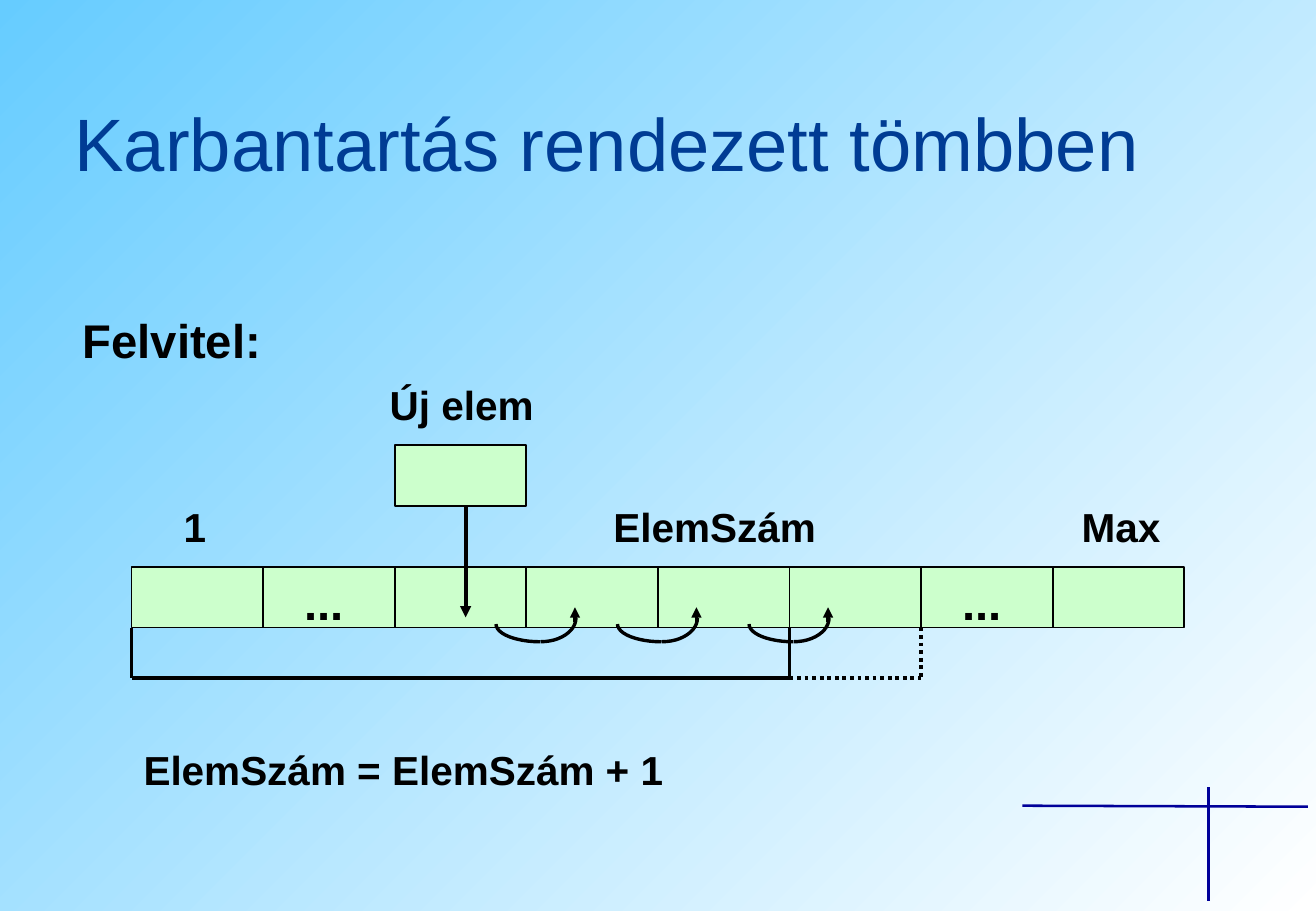
from lxml import etree
from pptx import Presentation
from pptx.dml.color import RGBColor
from pptx.enum.dml import MSO_LINE
from pptx.enum.shapes import MSO_CONNECTOR, MSO_SHAPE
from pptx.enum.text import PP_ALIGN
from pptx.oxml.ns import qn
from pptx.util import Inches, Pt

STRAIGHT = MSO_CONNECTOR.STRAIGHT
RECT, ARC = MSO_SHAPE.RECTANGLE, MSO_SHAPE.ARC
LEFT, CENTER = PP_ALIGN.LEFT, PP_ALIGN.CENTER
DOTTED = MSO_LINE.ROUND_DOT

COLORS = {"title": "003C94", "text": "000000", "cell": "CCFFCC",
          "accent": "000099", "bg_light": "FFFFFF", "bg_blue": "66CCFF"}
FONT = "Arial"

# Grid of 130 columns by 90 rows; one array cell is 13 columns by 6 rows
COLS, ROWS = 130, 90
UNIT = Inches(7.5) / ROWS
CELL_W, CELL_H = 13, 6
ARRAY_TOP, LABEL_TOP, BRACKET_BOTTOM = 56, 49, 67
ARRAY_BOTTOM = ARRAY_TOP + CELL_H
QUARTER = 54  # a quarter turn in arc adjustment units


def grid(*values):
    return [round(v * UNIT) for v in values]


def cell_x(index):
    return CELL_W * (index + 1)


def rgb(name):
    return RGBColor.from_string(COLORS[name])


def add_background(slide):
    fill = slide.background.fill
    fill.gradient()
    fill.gradient_angle = 135
    for stop, name in zip(fill.gradient_stops, ("bg_light", "bg_blue")):
        stop.color.rgb = rgb(name)


def add_text(slide, text, x, y, w, h, size=24, align=CENTER, bold=True, color="text"):
    tf = slide.shapes.add_textbox(*grid(x, y, w, h)).text_frame
    tf.word_wrap = True
    p = tf.paragraphs[0]
    p.text = text
    p.alignment = align
    p.font.name, p.font.size, p.font.bold = FONT, Pt(size), bold
    p.font.color.rgb = rgb(color)


def add_cell(slide, x, y):
    sp = slide.shapes.add_shape(RECT, *grid(x, y, CELL_W, CELL_H))
    sp.shadow.inherit = False
    sp.fill.solid()
    sp.fill.fore_color.rgb = rgb("cell")
    sp.line.color.rgb = rgb("text")
    sp.line.width = Pt(1)


def add_line(slide, x1, y1, x2, y2, width=2.25, color="text", dash=None, arrow=False):
    line = slide.shapes.add_connector(STRAIGHT, *grid(x1, y1, x2, y2))
    line.line.color.rgb = rgb(color)
    line.line.width = Pt(width)
    if dash:
        line.line.dash_style = dash
    if arrow:
        etree.SubElement(line.line._get_or_add_ln(), qn("a:tailEnd"), type="triangle")
    etree.SubElement(line._element.spPr, qn("a:effectLst"))


def add_arc(slide, x, y, w, h, start, end):
    sp = slide.shapes.add_shape(ARC, *grid(x, y, w, h))
    sp.shadow.inherit = False
    sp.adjustments[0], sp.adjustments[1] = start, end
    sp.fill.background()
    sp.line.color.rgb = rgb("text")
    sp.line.width = Pt(2)


def add_shift_arrow(slide, x):
    add_arc(slide, x, 59.9, 8.7, 3.5, QUARTER, 2 * QUARTER)
    add_arc(slide, x + 0.9, 58.7, 7, 4.7, 0, QUARTER)
    add_line(slide, x + 7.8, 61.5, x + 7.8, 60, width=2, arrow=True)


def main():
    prs = Presentation()
    prs.slide_width, prs.slide_height = grid(COLS, ROWS)
    slide = prs.slides.add_slide(prs.slide_layouts[6])
    add_background(slide)

    # Corner cross
    add_line(slide, 101, 79.6, 129.2, 79.7, width=1.5, color="accent")
    add_line(slide, 119.4, 77.8, 119.4, 89, width=1.5, color="accent")

    # Headings
    add_text(slide, "Karbantartás rendezett tömbben", 6, 9, 108, 10,
             size=44, bold=False, color="title")
    add_text(slide, "Felvitel:", 7, 30.2, 77, 6.8, size=28, align=LEFT)

    # Array with its gaps and index labels
    for i in range(8):
        add_cell(slide, cell_x(i), ARRAY_TOP)
    for i in (1, 6):
        add_text(slide, "...", cell_x(i), ARRAY_TOP, 12, 6.8, size=28)
    for label, x, w in (("1", 13.5, 11.5), ("ElemSzám", 59, 23.2), ("Max", 105, 11.5)):
        add_text(slide, label, x, LABEL_TOP, w, CELL_H)

    # Bracket for the used part, dotted where it grows
    start, end, grown = cell_x(0), cell_x(5), cell_x(6)
    for x, dash in ((start, None), (end, None), (grown, DOTTED)):
        add_line(slide, x, ARRAY_BOTTOM, x, BRACKET_BOTTOM, dash=dash)
    add_line(slide, start, BRACKET_BOTTOM, end, BRACKET_BOTTOM)
    add_line(slide, end, BRACKET_BOTTOM, grown, BRACKET_BOTTOM, dash=DOTTED)

    # New element, and the elements that move over for it
    add_text(slide, "Új elem", 34, 37, 23.2, CELL_H)
    add_cell(slide, cell_x(2), 44)
    for x in (49, 61, 74):
        add_shift_arrow(slide, x)
    add_line(slide, 46, 50, 46, 61, arrow=True)

    # New length
    add_text(slide, "ElemSzám = ElemSzám + 1", 13, 73, 66, CELL_H, align=LEFT)

    prs.save("out.pptx")


if __name__ == "__main__":
    main()
